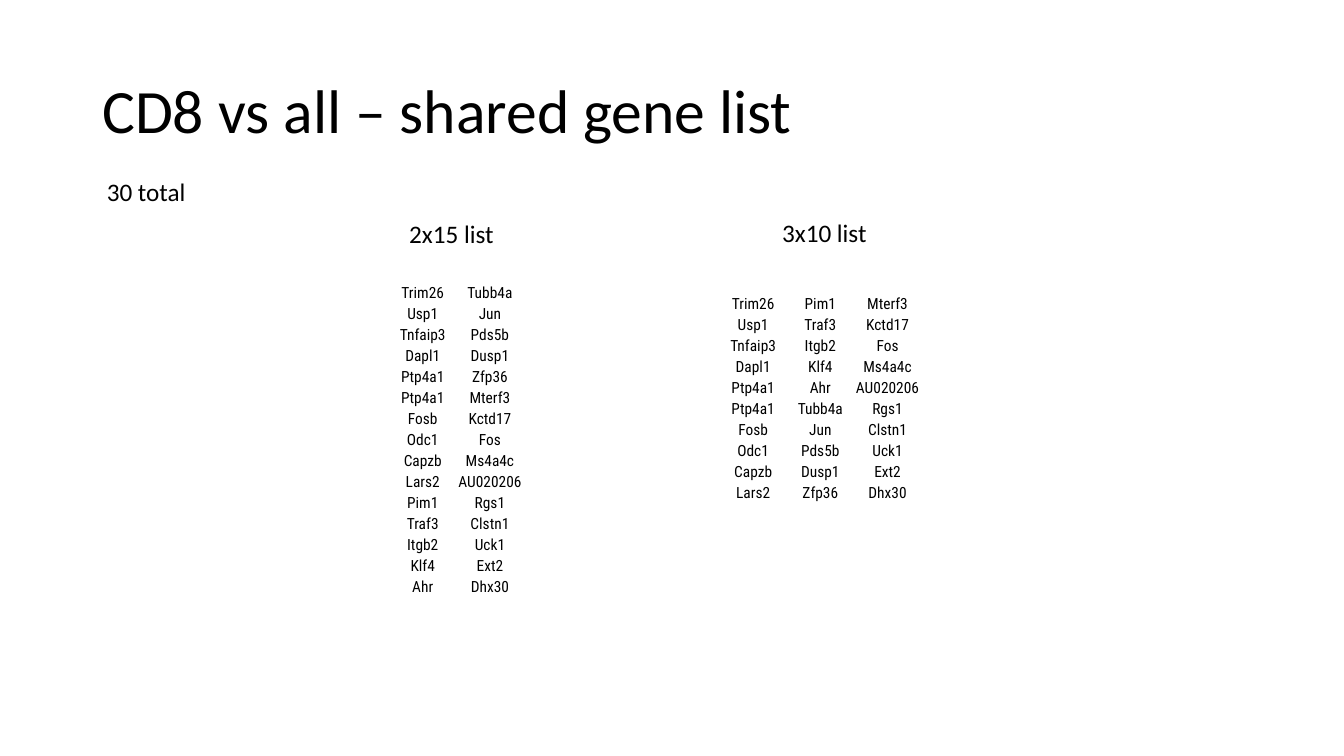
import pptx
import pptx.dml.color
import pptx.enum.text
import pptx.util

Pt = pptx.util.Pt
ANCHOR = pptx.enum.text.MSO_ANCHOR
BLACK = pptx.dml.color.RGBColor(0, 0, 0)
COLUMN_WIDTH = 48
ROW_HEIGHT = 15
GENES = """
Trim26 Usp1 Tnfaip3 Dapl1 Ptp4a1 Ptp4a1 Fosb Odc1 Capzb Lars2
Pim1 Traf3 Itgb2 Klf4 Ahr Tubb4a Jun Pds5b Dusp1 Zfp36
Mterf3 Kctd17 Fos Ms4a4c AU020206 Rgs1 Clstn1 Uck1 Ext2 Dhx30
""".split()


def style_paragraph(p, name, size):
    p.font.name = name
    p.font.size = Pt(size)
    p.font.color.rgb = BLACK


def add_text(s, text, left, top, width, height, size=18, anchor=ANCHOR.TOP, spacing=1.0):
    sp = s.shapes.add_textbox(Pt(left), Pt(top), Pt(width), Pt(height))
    tf = sp.text_frame
    tf.word_wrap = True
    tf.vertical_anchor = anchor
    p = tf.paragraphs[0]
    p.text = text
    p.line_spacing = spacing
    style_paragraph(p, "Calibri", size)


def fill_cell(cell, gene):
    cell.fill.background()
    cell.vertical_anchor = ANCHOR.BOTTOM
    cell.margin_left = cell.margin_right = cell.margin_top = Pt(0.75)
    cell.margin_bottom = Pt(0)
    p = cell.text_frame.paragraphs[0]
    p.text = gene
    p.alignment = pptx.enum.text.PP_ALIGN.CENTER
    style_paragraph(p, "Roboto Condensed", 11)


def add_gene_table(s, columns, left, top):
    rows = len(GENES) // columns
    frame = s.shapes.add_table(rows, columns, Pt(left), Pt(top),
                               Pt(columns * COLUMN_WIDTH), Pt(rows * ROW_HEIGHT))
    table = frame.table
    table.first_row = False
    table.horz_banding = False
    for i, gene in enumerate(GENES):
        column, row = divmod(i, rows)
        fill_cell(table.cell(row, column), gene)


def main():
    prs = pptx.Presentation()
    prs.slide_width = Pt(960)
    prs.slide_height = Pt(540)
    s = prs.slides.add_slide(prs.slide_layouts[6])
    add_text(s, "CD8 vs all – shared gene list", 66, 28.75, 828, 104.4,
             size=44, anchor=ANCHOR.MIDDLE, spacing=0.9)
    add_text(s, "30 total", 69.2, 122.6, 83, 29)
    add_text(s, "2x15 list", 285.2, 152.6, 83, 29)
    add_text(s, "3x10 list", 551.6, 152, 83, 29)
    add_gene_table(s, 3, 514, 209)
    add_gene_table(s, 2, 278, 201)
    prs.save("out.pptx")


if __name__ == "__main__":
    main()
